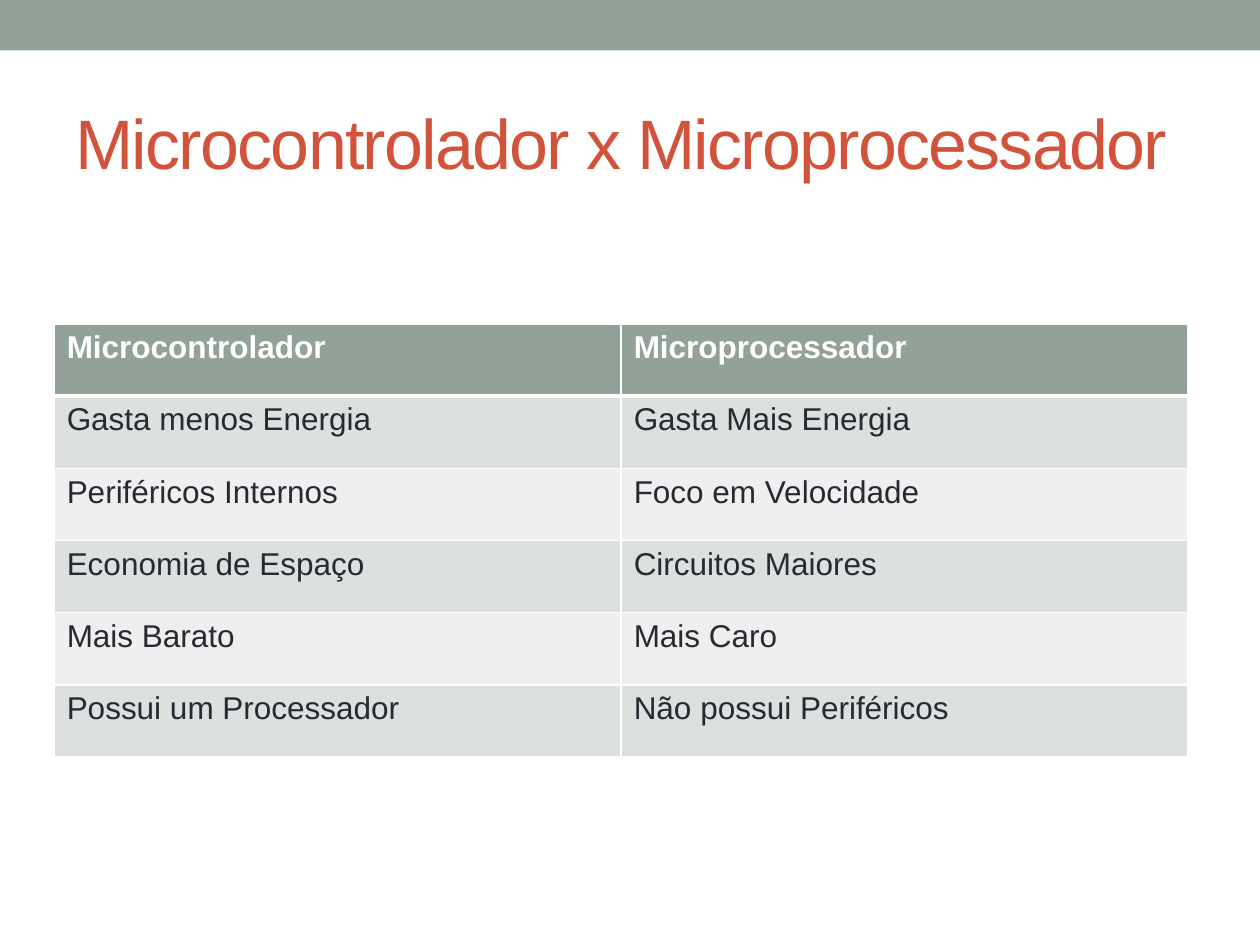
from lxml.etree import SubElement
from pptx import Presentation
from pptx.dml.color import RGBColor
from pptx.enum.shapes import MSO_SHAPE
from pptx.enum.text import MSO_ANCHOR
from pptx.oxml.ns import qn
from pptx.util import Inches, Pt

COLORS = {
    "sage": "93A299",
    "red": "D2533C",
    "ink": "292934",
    "white": "FFFFFF",
    "dark": "DCE0DE",
    "light": "EEF0EF",
}
ROWS = [
    ("Microcontrolador", "Microprocessador"),
    ("Gasta menos Energia", "Gasta Mais Energia"),
    ("Periféricos Internos", "Foco em Velocidade"),
    ("Economia de Espaço", "Circuitos Maiores"),
    ("Mais Barato", "Mais Caro"),
    ("Possui um Processador", "Não possui Periféricos"),
]


def color(name):
    return RGBColor.from_string(COLORS[name])


def paint(item, name):
    item.fill.solid()
    item.fill.fore_color.rgb = color(name)


def style(font, size, name, bold=False):
    font.name = "Arial"
    font.size = Pt(size)
    font.bold = bold
    font.color.rgb = color(name)


def add_band(slide):
    band = slide.shapes.add_shape(
        MSO_SHAPE.RECTANGLE, 0, 0, Inches(10), Inches(0.4))
    band.shadow.inherit = False
    paint(band, "sage")
    band.line.fill.background()


def add_title(slide, text):
    box = slide.shapes.add_textbox(
        Inches(0.5), Inches(0.58), Inches(9), Inches(1.08))
    frame = box.text_frame
    frame.word_wrap = True
    frame.vertical_anchor = MSO_ANCHOR.MIDDLE
    line = frame.paragraphs[0]
    run = line.add_run()
    run.text = text
    style(run.font, 40, "red")
    run.font._element.set("spc", "-100")


def add_edges(cell, top, bottom):
    props = cell._tc.get_or_add_tcPr()
    for side, width in (("L", 1), ("R", 1), ("T", top), ("B", bottom)):
        edge = SubElement(props, qn(f"a:ln{side}"), w=str(Pt(width)))
        fill = SubElement(edge, qn("a:solidFill"))
        SubElement(fill, qn("a:srgbClr"), val=COLORS["white"])


def fill_cell(cell, text, row):
    head = row == 0
    add_edges(cell, 3 if row == 1 else 1, 3 if head else 1)
    paint(cell, "sage" if head else "dark" if row % 2 else "light")
    cell.text = text
    style(cell.text_frame.paragraphs[0].font, 18,
          "white" if head else "ink", head)


def add_grid(slide, rows):
    table = slide.shapes.add_table(
        len(rows), len(rows[0]),
        Inches(0.43), Inches(2.57), Inches(9), Inches(3.44)).table
    for row, texts in enumerate(rows):
        for col, text in enumerate(texts):
            fill_cell(table.cell(row, col), text, row)


def main():
    deck = Presentation()
    deck.slide_width = Inches(10)
    deck.slide_height = Inches(7.5)
    slide = deck.slides.add_slide(deck.slide_layouts[6])
    add_band(slide)
    add_title(slide, "Microcontrolador x Microprocessador")
    add_grid(slide, ROWS)
    deck.save("out.pptx")


if __name__ == "__main__":
    main()
